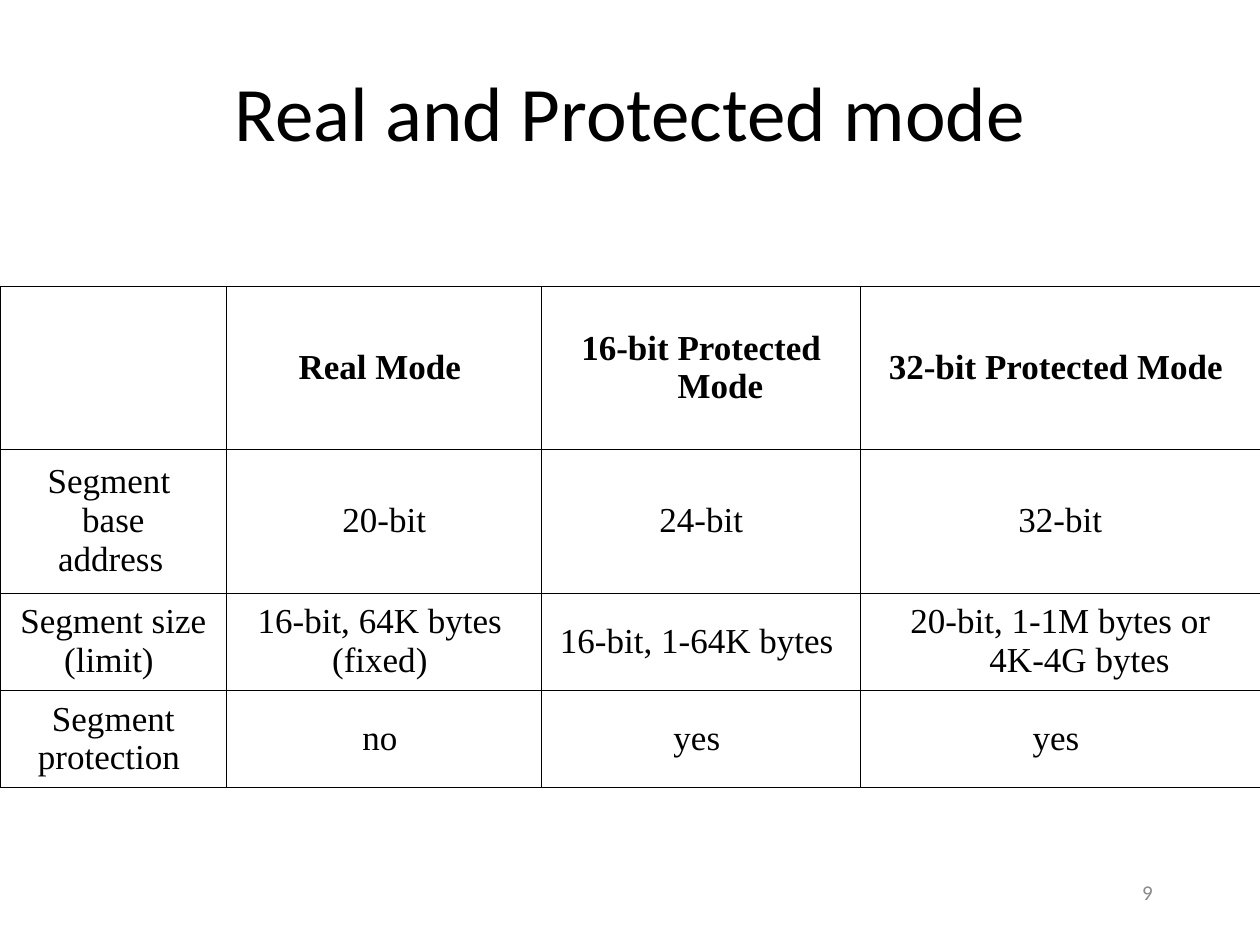
"""Build the slide that compares real and protected mode."""
from lxml import etree
from pptx import Presentation
from pptx.dml.color import RGBColor
from pptx.enum.text import MSO_ANCHOR, PP_ALIGN
from pptx.oxml.ns import qn
from pptx.util import Cm, Pt

CENTER, RIGHT = PP_ALIGN.CENTER, PP_ALIGN.RIGHT
MIDDLE = MSO_ANCHOR.MIDDLE

COLS = [4.57, 6.35, 6.43, 8.05]
ROWS = [3.28, 2.9, 1.96, 1.96]
MODES = [
    ["", "Real Mode ", "16-bit Protected Mode ", "32-bit Protected Mode "],
    ["Segment \nbase\naddress", "20-bit", "24-bit", "32-bit"],
    ["Segment size\n(limit) ", "16-bit, 64K bytes \n(fixed) ",
     "16-bit, 1-64K bytes ", "20-bit, 1-1M bytes or 4K-4G bytes "],
    ["Segment\nprotection ", "no ", "yes ", "yes "],
]


def rgb(value):
    return RGBColor.from_string(value)


class Deck:
    heading_font = "Calibri"
    table_font = "Times New Roman"
    ink = "000000"
    muted = "898989"

    def __init__(self, width, height):
        self.prs = Presentation()
        self.prs.slide_width, self.prs.slide_height = Cm(width), Cm(height)
        self.s = self.prs.slides.add_slide(self.prs.slide_layouts[6])

    def run(self, p, text, size, font, color, bold=False):
        r = p.add_run()
        r.text = text
        r.font.size, r.font.name, r.font.bold = Pt(size), font, bold
        r.font.color.rgb = rgb(color)

    def text(self, box, text, size, color, align):
        tf = self.s.shapes.add_textbox(*map(Cm, box)).text_frame
        tf.word_wrap = True
        tf.vertical_anchor = MIDDLE
        p = tf.paragraphs[0]
        p.alignment = align
        self.run(p, text, size, self.heading_font, color)

    def borders(self, cell):
        tcPr = cell._tc.get_or_add_tcPr()
        for side in ("lnL", "lnR", "lnT", "lnB"):
            ln = etree.SubElement(tcPr, qn(f"a:{side}"), w=str(Pt(0.34)))
            fill = etree.SubElement(ln, qn("a:solidFill"))
            etree.SubElement(fill, qn("a:srgbClr"), val=self.ink)

    def cell(self, cell, text, bold):
        self.borders(cell)
        cell.fill.background()
        cell.vertical_anchor = MIDDLE
        tf = cell.text_frame
        for i, line in enumerate(text.split("\n")):
            p = tf.add_paragraph() if i else tf.paragraphs[0]
            p.alignment = CENTER
            pPr = p._p.get_or_add_pPr()
            pPr.set("marL", str(Cm(0.95)))
            pPr.set("indent", str(Cm(-0.95)))
            if line:
                self.run(p, line, 20, self.table_font, self.ink, bold)
        return tf

    def table(self, left, top, cols, rows, data):
        frame = self.s.shapes.add_table(
            len(rows), len(cols), Cm(left), Cm(top), Cm(sum(cols)), Cm(sum(rows)))
        table = frame.table
        table.first_row = table.horz_banding = False
        for column, width in zip(table.columns, cols):
            column.width = Cm(width)
        for i, (height, texts) in enumerate(zip(rows, data)):
            table.rows[i].height = Cm(height)
            for j, text in enumerate(texts):
                self.cell(table.cell(i, j), text, bold=i == 0)
        return table


def main():
    deck = Deck(25.4, 19.05)
    deck.text((1.91, 0.64, 21.59, 3.18), "Real and Protected mode", 44, deck.ink, CENTER)
    table = deck.table(0, 5.77, COLS, ROWS, MODES)
    address = table.cell(1, 0).text_frame.paragraphs[-1]
    deck.run(address, " ", 12, deck.table_font, deck.ink)
    deck.text((18.21, 17.35, 5.28, 1.27), "9", 12, deck.muted, RIGHT)
    deck.prs.save("out.pptx")


if __name__ == "__main__":
    main()
